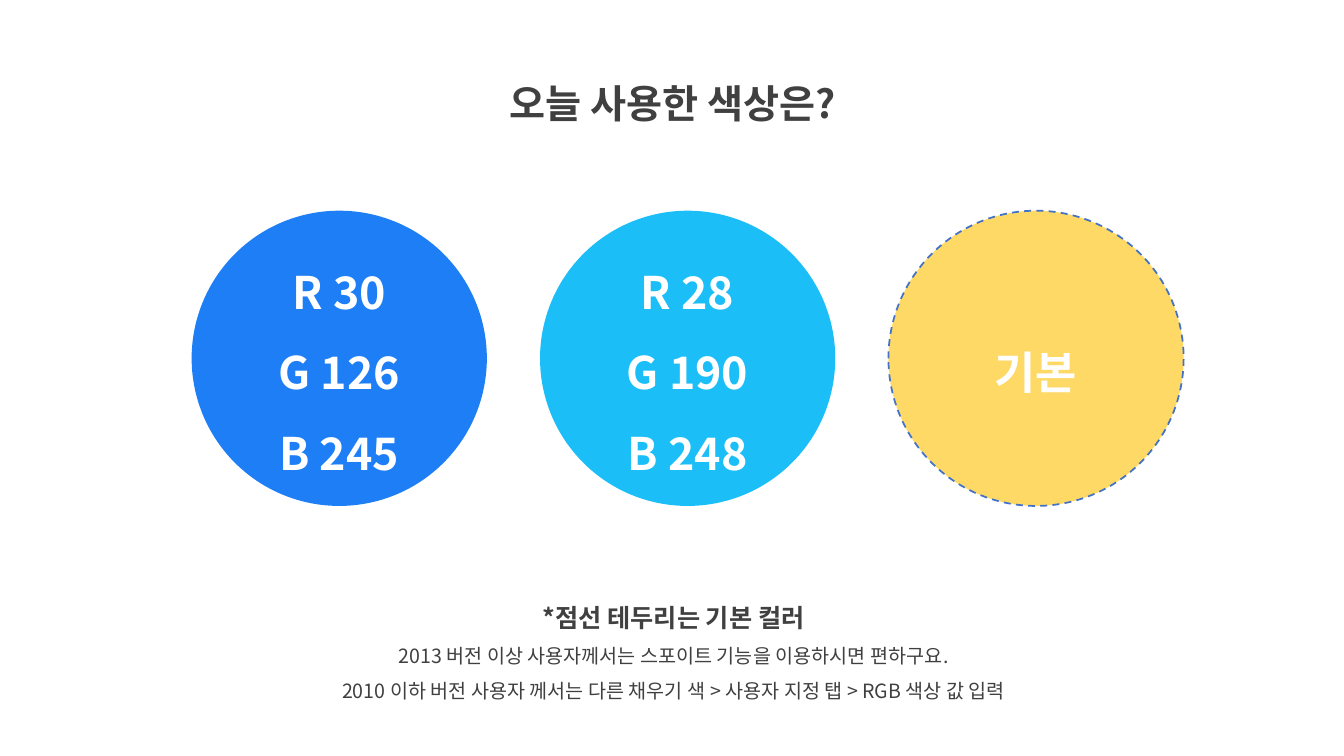
"""Build a slide that lists the colours used today."""
from lxml import etree
from pptx import Presentation
from pptx.dml.color import RGBColor
from pptx.enum.dml import MSO_LINE
from pptx.enum.shapes import MSO_SHAPE
from pptx.enum.text import MSO_ANCHOR, MSO_AUTO_SIZE, PP_ALIGN
from pptx.oxml.ns import qn
from pptx.util import Cm, Pt

OVAL = MSO_SHAPE.OVAL
DASH = MSO_LINE.DASH
TOP, MIDDLE = MSO_ANCHOR.TOP, MSO_ANCHOR.MIDDLE
NO_AUTOFIT = MSO_AUTO_SIZE.NONE
CENTER = PP_ALIGN.CENTER

FONT = "Noto Sans CJK KR"
COLORS = {
    "text": "404040",
    "white": "FFFFFF",
    "blue": "1E7EF5",
    "sky": "1CBEF8",
    "yellow": "FFD966",
    "outline": "4472C4",
}
TITLE_ONLY = 5
DIAMETER = 7.44
FIRST_LEFT, SWATCH_TOP = 4.83, 5.31
PITCH = 8.78

SWATCHES = [
    ("blue", ["R 30", "G 126", "B 245"], None),
    ("sky", ["R 28", "G 190", "B 248"], None),
    ("yellow", ["기본"], "outline"),
]


def rgb(color):
    return RGBColor.from_string(COLORS[color])


def write(frame, lines, size, color="text", bold=True, anchor=TOP, first=True):
    """Write centred lines; first=False appends them to the existing ones."""
    frame.word_wrap = True
    frame.auto_size = NO_AUTOFIT
    frame.vertical_anchor = anchor
    for index, line in enumerate(lines):
        paragraph = frame.paragraphs[0] if first and index == 0 else frame.add_paragraph()
        paragraph.alignment = CENTER
        paragraph.line_spacing = 1.5
        run = paragraph.add_run()
        run.text = line
        run.font.size = Pt(size)
        run.font.bold = bold
        run.font.name = FONT
        run.font.color.rgb = rgb(color)
        latin = run.font._element.find(qn("a:latin"))
        east_asian = etree.Element(qn("a:ea"), typeface=FONT)
        latin.addnext(east_asian)


def add_title(slide, text):
    title = slide.shapes.title
    title.left, title.top = Cm(11.07), Cm(1.27)
    title.width, title.height = Cm(11.76), Cm(1.83)
    write(title.text_frame, [text], 28)


def add_swatch(slide, left, color, lines, outline):
    swatch = slide.shapes.add_shape(
        OVAL, Cm(left), Cm(SWATCH_TOP), Cm(DIAMETER), Cm(DIAMETER))
    swatch.shadow.inherit = False
    swatch.fill.solid()
    swatch.fill.fore_color.rgb = rgb(color)
    if outline:
        swatch.line.color.rgb = rgb(outline)
        swatch.line.width = Pt(1.25)
        swatch.line.dash_style = DASH
    else:
        swatch.line.fill.background()
    write(swatch.text_frame, lines, 32, color="white", anchor=MIDDLE)


def add_usage_note(slide, heading, details):
    note = slide.shapes.add_textbox(Cm(6.83), Cm(14.66), Cm(20.29), Cm(3.2))
    write(note.text_frame, [heading], 18)
    write(note.text_frame, details, 14, bold=False, first=False)


def main():
    deck = Presentation()
    deck.slide_width, deck.slide_height = Cm(33.87), Cm(19.05)
    slide = deck.slides.add_slide(deck.slide_layouts[TITLE_ONLY])
    add_title(slide, "오늘 사용한 색상은?")
    for index, (color, lines, outline) in enumerate(SWATCHES):
        add_swatch(slide, FIRST_LEFT + index * PITCH, color, lines, outline)
    add_usage_note(slide, "*점선 테두리는 기본 컬러", [
        "2013 버전 이상 사용자께서는 스포이트 기능을 이용하시면 편하구요.",
        "2010 이하 버전 사용자 께서는 다른 채우기 색 > 사용자 지정 탭 > RGB 색상 값 입력",
    ])
    deck.save("out.pptx")


if __name__ == "__main__":
    main()
